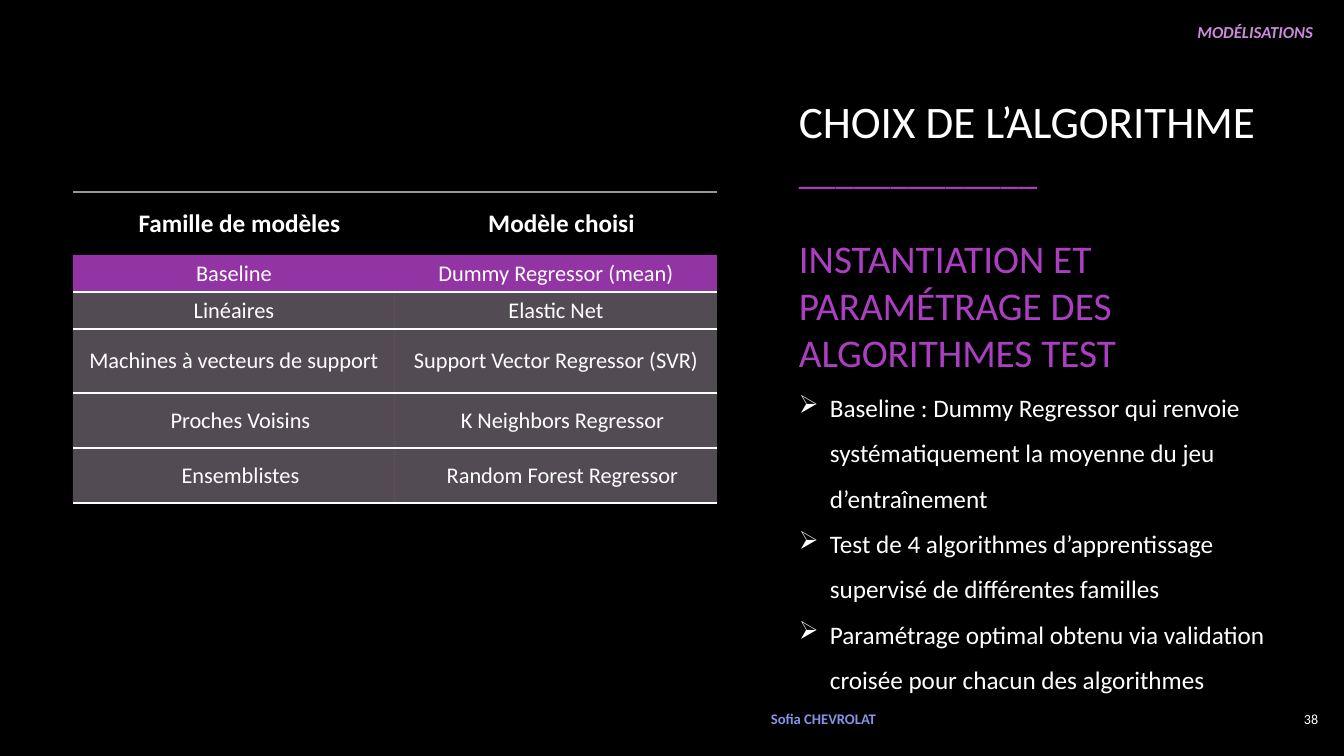
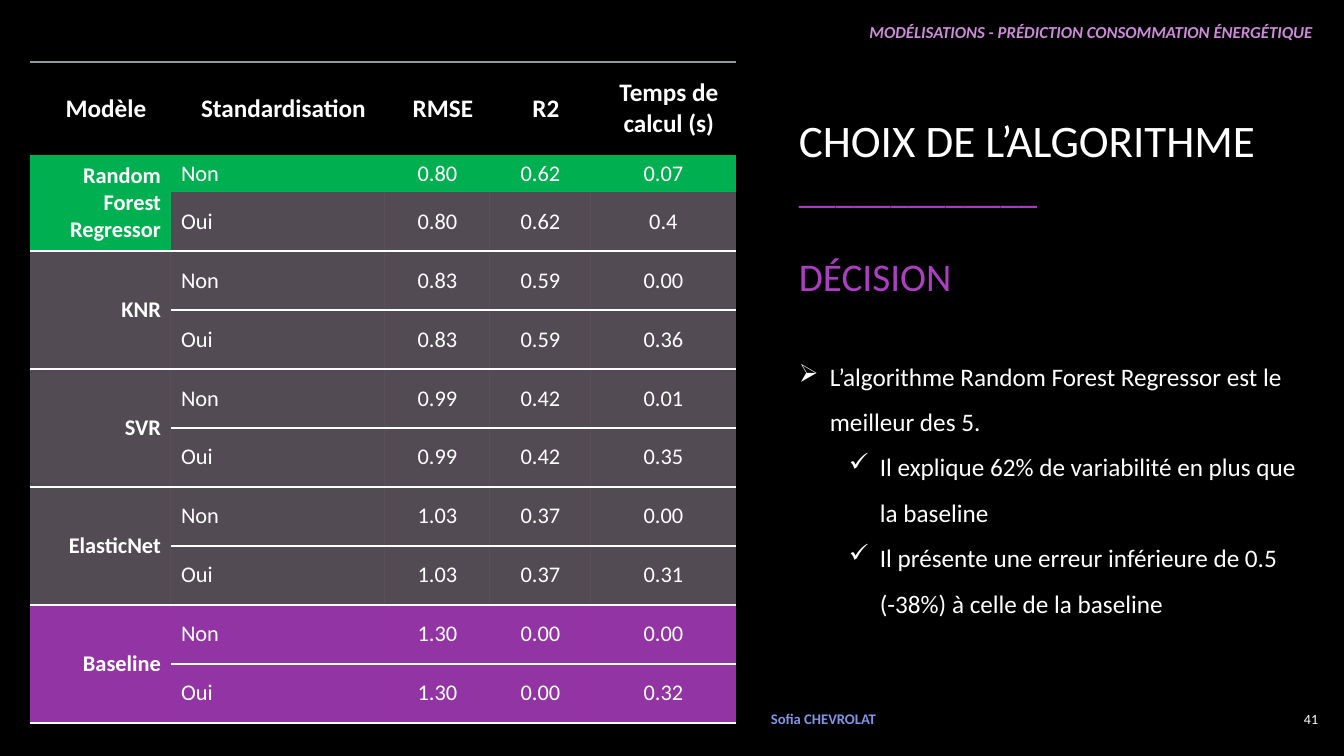
"""Builds two slides on choosing a regression algorithm."""
from lxml import etree
from pptx import Presentation
from pptx.dml.color import RGBColor
from pptx.enum.text import MSO_ANCHOR, PP_ALIGN
from pptx.oxml.ns import qn
from pptx.util import Emu, Pt

LEFT, CENTER, RIGHT = PP_ALIGN.LEFT, PP_ALIGN.CENTER, PP_ALIGN.RIGHT
TOP, MIDDLE = MSO_ANCHOR.TOP, MSO_ANCHOR.MIDDLE
EMU_PER_PX = 914400 / 100.8
FONT = "Calibri"
COLORS = {
    "background": "000000",
    "text": "FFFFFF",
    "accent": "AC3EC1",
    "section": "CD8BDA",
    "author": "8394E4",
    "header_line": "8F9A9D",
    "row": "EED8F3",
    "best": "00B050",
}
FILL_OPACITY = {"accent": 85, "row": 35, "best": 100}
BULLETS = [("➢", 31), ("✓", 81)]
HANGING = 31


def px(length):
    return Emu(round(length * EMU_PER_PX))


def rgb(color):
    return RGBColor.from_string(COLORS[color])


def set_opacity(color_element, percent):
    alpha = etree.SubElement(color_element, qn("a:alpha"))
    alpha.set("val", str(percent * 1000))


class Deck:
    def __init__(self):
        self.prs = Presentation()
        self.prs.slide_width, self.prs.slide_height = px(1344), px(756)
        self.slide = None

    def add_slide(self, section, number, subtitle, title_height):
        self.slide = self.prs.slides.add_slide(self.prs.slide_layouts[6])
        background = self.slide.background.fill
        background.solid()
        background.fore_color.rgb = rgb("background")
        self.label(section, (773, 17, 550, 30), 12, "section", RIGHT, TOP, bold=True, italic=True)
        self.label(number, (1268, 698, 60, 41), 10, "text", RIGHT)
        self.label("Sofia CHEVROLAT", (761, 698, 177, 41), 10.5, "author", bold=True)
        self.title(subtitle, title_height)

    def frame(self, box, anchor):
        frame = self.slide.shapes.add_textbox(*map(px, box)).text_frame
        frame.word_wrap = True
        frame.vertical_anchor = anchor
        return frame

    def style(self, paragraph, size, color="text", align=LEFT, bold=False, italic=False):
        paragraph.alignment = align
        font = paragraph.font
        font.name, font.size = FONT, Pt(size)
        font.bold, font.italic = bold, italic
        font.color.rgb = rgb(color)

    def label(self, text, box, size, color, align=LEFT, anchor=MIDDLE, bold=False, italic=False):
        paragraph = self.frame(box, anchor).paragraphs[0]
        paragraph.text = text
        self.style(paragraph, size, color, align, bold, italic)

    def title(self, subtitle, height):
        frame = self.frame((789, 93, 524, height), MIDDLE)
        lines = [
            ("CHOIX DE L’ALGORITHME", 32.2, "text", 0),
            ("_" * 13, 26.3, "accent", 0),
            (subtitle, 28, "accent", 30),
        ]
        for index, (text, size, color, space) in enumerate(lines):
            paragraph = frame.add_paragraph() if index else frame.paragraphs[0]
            paragraph.text = text
            paragraph.space_before = Pt(space)
            self.style(paragraph, size, color)

    def bullets(self, top, height, items):
        frame = self.frame((789, top, 527, height), TOP)
        for index, (level, text) in enumerate(items):
            paragraph = frame.add_paragraph() if index else frame.paragraphs[0]
            paragraph.text = text
            paragraph.level = level
            paragraph.line_spacing = 1.5
            symbol, margin = BULLETS[level]
            properties = paragraph._p.get_or_add_pPr()
            properties.set("marL", str(px(margin)))
            properties.set("indent", str(-px(HANGING)))
            etree.SubElement(properties, qn("a:buChar")).set("char", symbol)
            self.style(paragraph, 18)

    def table(self, left, top, widths, heights, header, rows, edges, aligns, merges=(), padded=()):
        table = self.slide.shapes.add_table(
            len(heights), len(widths), px(left), px(top), px(sum(widths)), px(sum(heights))
        ).table
        table.first_row = table.horz_banding = False
        for column, width in zip(table.columns, widths):
            column.width = px(width)
        for row, height in zip(table.rows, heights):
            row.height = px(height)
        for first, last in merges:
            table.cell(first, 0).merge(table.cell(last, 0))
        for r, (fill, texts) in enumerate([(None, header), *rows]):
            for c, text in enumerate(texts):
                cell = table.cell(r, c)
                if not cell.is_spanned:
                    self.cell(cell, text, fill, CENTER if r == 0 else aligns[c], r in padded)
                span = cell.span_height if cell.is_merge_origin else 1
                above = None if cell.is_spanned else edges[r]
                self.borders(cell, above, edges[r + span])

    def cell(self, cell, text, fill, align, padded):
        is_header = fill is None
        cell.vertical_anchor = MIDDLE
        if is_header or padded:
            inset = px(16 if is_header else 14)
            cell.margin_left = px(27)
            cell.margin_top = cell.margin_right = cell.margin_bottom = inset
        if is_header:
            cell.fill.background()
        else:
            cell.fill.solid()
            cell.fill.fore_color.rgb = rgb(fill)
            set_opacity(cell._tc.tcPr.find(".//" + qn("a:srgbClr")), FILL_OPACITY[fill])
        paragraph = cell.text_frame.paragraphs[0]
        paragraph.text = text
        self.style(paragraph, 18 if is_header else 16, align=align, bold=is_header or align == RIGHT)

    def borders(self, cell, above, below):
        properties = cell._tc.get_or_add_tcPr()
        sides = [("a:lnL", None), ("a:lnR", None), ("a:lnT", above), ("a:lnB", below)]
        for position, (tag, edge) in enumerate(sides):
            line = etree.Element(qn(tag))
            properties.insert(position, line)
            if edge is None:
                line.set("w", "0")
                etree.SubElement(line, qn("a:noFill"))
                continue
            color, width, opacity = edge
            line.set("w", str(Pt(width)))
            solid = etree.SubElement(line, qn("a:solidFill"))
            value = etree.SubElement(solid, qn("a:srgbClr"))
            value.set("val", COLORS[color])
            set_opacity(value, opacity)


HEADER_EDGE = ("header_line", 1.5, 60)
ROW_EDGE = ("text", 1.5, 100)
BASELINE_EDGE = ("text", 2.25, 100)


def model_slide(deck):
    deck.add_slide(
        "MODÉLISATIONS", "38", "INSTANTIATION ET PARAMÉTRAGE DES ALGORITHMES TEST", 283
    )
    deck.table(
        73, 192, [322, 322], [63, 37, 37, 64, 55, 54],
        ["Famille de modèles", "Modèle choisi"],
        [
            ("accent", ["Baseline", "Dummy Regressor (mean)"]),
            ("row", ["Linéaires", "Elastic Net"]),
            ("row", ["Machines à vecteurs de support", "Support Vector Regressor (SVR)"]),
            ("row", ["Proches Voisins", "K Neighbors Regressor"]),
            ("row", ["Ensemblistes", "Random Forest Regressor"]),
        ],
        [HEADER_EDGE, None, BASELINE_EDGE] + [ROW_EDGE] * 4,
        [CENTER, CENTER],
        padded=(4, 5),
    )
    deck.bullets(372, 326, [
        (0, "Baseline : Dummy Regressor qui renvoie systématiquement la moyenne du jeu d’entraînement"),
        (0, "Test de 4 algorithmes d’apprentissage supervisé de différentes familles"),
        (0, "Paramétrage optimal obtenu via validation croisée pour chacun des algorithmes"),
    ])


def decision_slide(deck):
    deck.add_slide(
        "MODÉLISATIONS - PRÉDICTION CONSOMMATION ÉNERGÉTIQUE", "41", "DÉCISION", 226
    )
    results = [
        ("Random Forest Regressor", "best", "row", "0.80", "0.62", "0.07", "0.4"),
        ("KNR", "row", "row", "0.83", "0.59", "0.00", "0.36"),
        ("SVR", "row", "row", "0.99", "0.42", "0.01", "0.35"),
        ("ElasticNet", "row", "row", "1.03", "0.37", "0.00", "0.31"),
        ("Baseline", "accent", "accent", "1.30", "0.00", "0.00", "0.32"),
    ]
    rows = []
    for model, raw_fill, scaled_fill, rmse, r2, raw_time, scaled_time in results:
        rows.append((raw_fill, [model, "Non", rmse, r2, raw_time]))
        rows.append((scaled_fill, ["", "Oui", rmse, r2, scaled_time]))
    deck.table(
        30, 62, [141, 214, 105, 101, 145], [93, 37] + [59] * 9,
        ["Modèle", "Standardisation", "RMSE", "R2", "Temps de calcul (s)"],
        rows,
        [HEADER_EDGE, None, None] + [ROW_EDGE] * 9,
        [RIGHT, LEFT, CENTER, CENTER, CENTER],
        merges=[(first, first + 1) for first in range(1, len(rows), 2)],
    )
    deck.bullets(341, 280, [
        (0, "L’algorithme Random Forest Regressor est le meilleur des 5."),
        (1, "Il explique 62% de variabilité en plus que la baseline"),
        (1, "Il présente une erreur inférieure de 0.5 (-38%) à celle de la baseline"),
    ])


def main():
    deck = Deck()
    model_slide(deck)
    decision_slide(deck)
    deck.prs.save("out.pptx")


if __name__ == "__main__":
    main()
